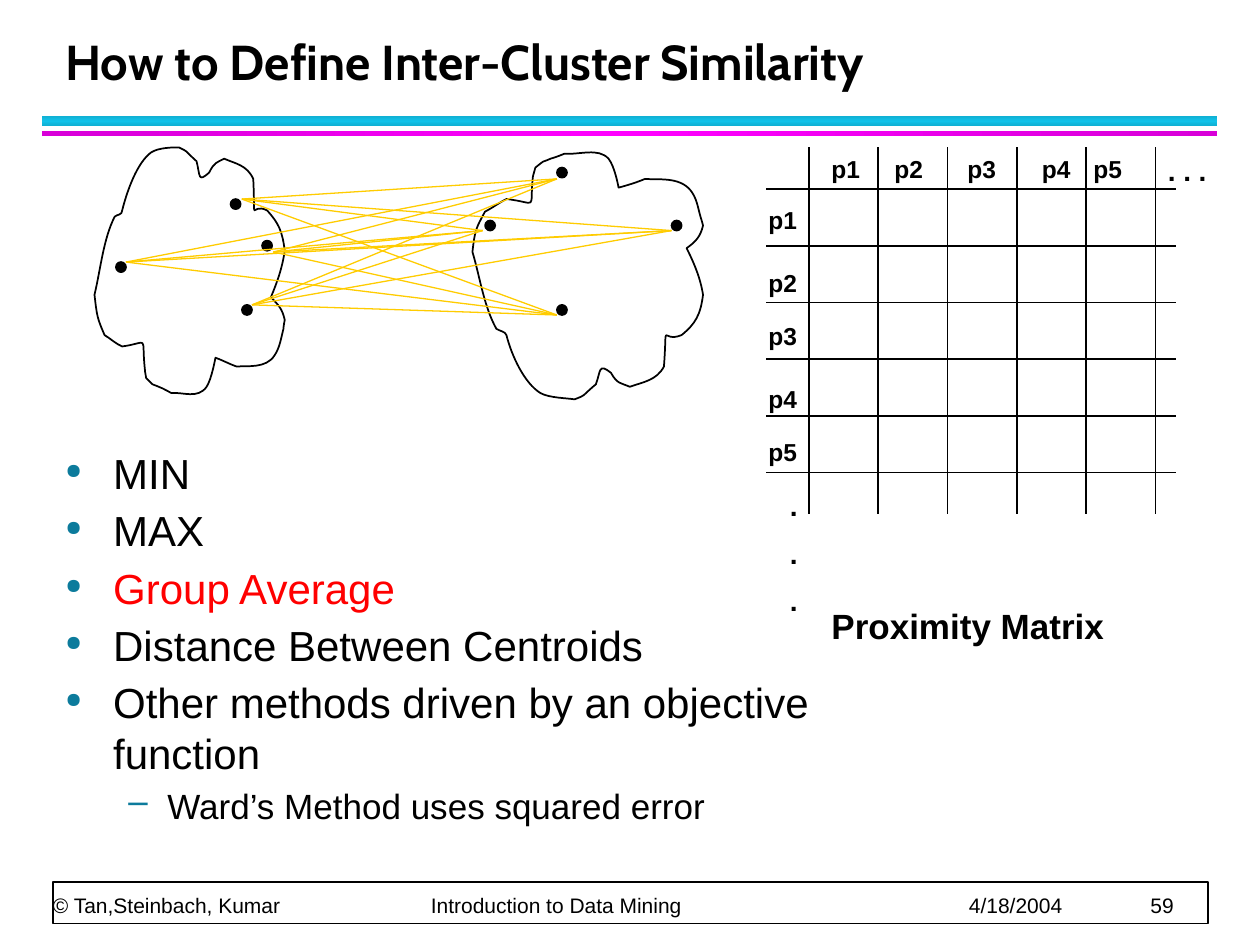
from copy import deepcopy
from dataclasses import dataclass
from itertools import product

from pptx import Presentation
from pptx.dml.color import RGBColor
from pptx.enum import shapes, text
from pptx.oxml.ns import qn
from pptx.util import Inches, Pt

BLACK = RGBColor(0x00, 0x00, 0x00)
WHITE = RGBColor(0xFF, 0xFF, 0xFF)
RED = RGBColor(0xFF, 0x00, 0x00)
GOLD = RGBColor(0xFF, 0xCC, 0x00)
CYAN, CYAN_EDGE = RGBColor(0x12, 0xC2, 0xE9), RGBColor(0x10, 0xAF, 0xD2)
MAGENTA, MAGENTA_EDGE = RGBColor(0xFF, 0x00, 0xFF), RGBColor(0xD8, 0x00, 0xD8)
BULLET_TEAL = RGBColor(0x0C, 0x7B, 0x9C)

Point = tuple[float, float]


@dataclass
class Cluster:
    """A closed outline, the dots' corners, and the points where links attach.

    The outline is in hundredths of an inch; each row of curves holds two
    control points and an end point.
    """
    start: Point
    curves: list[tuple[int, ...]]
    dots: list[Point]
    anchors: list[Point]


@dataclass
class Bullet:
    words: str
    color: RGBColor = BLACK
    level: int = 0


LEFT_CLUSTER = Cluster(
    (91, 172),
    [(82, 190, 80, 213, 75, 234), (77, 251, 77, 252, 83, 266),
     (88, 269, 92, 273, 97, 275), (119, 272, 112, 265, 115, 293),
     (115, 296, 116, 298, 116, 300), (123, 307, 119, 304, 126, 307),
     (129, 308, 136, 312, 136, 312), (145, 311, 157, 317, 164, 307),
     (168, 301, 171, 284, 171, 284), (177, 286, 182, 289, 188, 291),
     (196, 290, 211, 293, 218, 282), (222, 276, 223, 269, 225, 261),
     (225, 259, 226, 254, 226, 254), (224, 245, 221, 242, 215, 236),
     (220, 224, 224, 213, 226, 199), (224, 183, 221, 177, 212, 167),
     (198, 160, 203, 182, 201, 142), (196, 131, 187, 130, 178, 126),
     (172, 129, 170, 129, 166, 137), (157, 145, 159, 140, 156, 128),
     (145, 118, 150, 121, 142, 117), (138, 117, 126, 117, 120, 121),
     (109, 129, 101, 151, 97, 167), (97, 171, 93, 170, 91, 172)],
    dots=[(1.92, 2.42), (1.83, 1.58), (0.92, 2.08), (2.08, 1.91)],
    anchors=[(2, 2.42), (2.17, 2), (1, 2.08), (1.92, 1.58)])

RIGHT_CLUSTER = Cluster(
    (394, 261),
    [(384, 243, 381, 220, 375, 200), (377, 182, 378, 181, 385, 168),
     (391, 165, 396, 161, 402, 158), (428, 161, 420, 168, 423, 140),
     (424, 138, 424, 135, 425, 133), (434, 126, 428, 130, 437, 126),
     (441, 125, 448, 122, 448, 122), (460, 123, 475, 117, 483, 126),
     (488, 132, 491, 149, 491, 149), (498, 147, 505, 145, 512, 142),
     (522, 143, 539, 140, 548, 151), (553, 157, 554, 165, 556, 172),
     (557, 175, 558, 179, 558, 179), (556, 188, 552, 192, 545, 197),
     (551, 209, 556, 221, 558, 234), (556, 250, 552, 257, 541, 266),
     (524, 273, 530, 251, 527, 291), (521, 302, 511, 303, 500, 307),
     (493, 304, 490, 305, 485, 296), (475, 288, 477, 294, 473, 305),
     (460, 316, 466, 313, 456, 317), (451, 316, 436, 316, 429, 312),
     (416, 304, 406, 282, 402, 266), (401, 263, 397, 263, 394, 261)],
    dots=[(5.33, 1.75), (3.85, 1.75), (4.42, 2.42), (4.42, 1.33)],
    anchors=[(4.42, 2.5), (3.83, 1.83), (4.42, 1.42), (5.33, 1.83)])

METHODS = [
    Bullet("MIN"), Bullet("MAX"), Bullet("Group Average", RED),
    Bullet("Distance Between Centroids"),
    Bullet("Other methods driven by an objective function"),
    Bullet("Ward’s Method uses squared error", level=1),
]
COLUMN_LEFTS = [6.5, 7, 7.58, 8.17, 8.58]
ROW_TOPS = [1.58, 2.08, 2.5, 3, 3.42]


def add_line(slide, start: Point, end: Point, color: RGBColor = BLACK, width: float = 1):
    line = slide.shapes.add_connector(
        shapes.MSO_CONNECTOR.STRAIGHT, *(Inches(v) for v in (*start, *end)))
    line.line.color.rgb = color
    line.line.width = Pt(width)
    properties = line._element.spPr
    properties.append(properties.makeelement(qn("a:effectLst"), {}))


def add_box(slide, kind, left: float, top: float, width: float, height: float):
    box = slide.shapes.add_shape(kind, *(Inches(v) for v in (left, top, width, height)))
    box.shadow.inherit = False
    box.line.color.rgb = BLACK
    box.line.width = Pt(1)
    box.fill.solid()
    return box


def add_bar(slide, top: float, height: float, edge: RGBColor, middle: RGBColor, angle: int):
    """Draw a header bar whose colour runs edge, middle, edge."""
    bar = add_box(slide, shapes.MSO_SHAPE.RECTANGLE, 0.33, top, 9.33, height)
    bar.line.fill.background()
    bar.fill.gradient()
    bar.fill.gradient_angle = angle
    stop_list = bar._element.spPr.find(".//" + qn("a:gsLst"))
    stop_list.append(deepcopy(stop_list[0]))
    for stop, color, position in zip(bar.fill.gradient_stops, (edge, middle, edge), (0, 0.5, 1)):
        stop.color.rgb = color
        stop.position = position


def add_text(slide, left: float, top: float, width: float, height: float,
             lines: list[str], size: float, bold: bool = True, font: str = "Arial"):
    frame = slide.shapes.add_textbox(
        *(Inches(v) for v in (left, top, width, height))).text_frame
    frame.word_wrap = True
    frame.text = "\n".join(lines)
    for paragraph in frame.paragraphs:
        paragraph.font.name = font
        paragraph.font.size = Pt(size)
        paragraph.font.bold = bold
        paragraph.font.color.rgb = BLACK
    return frame


def add_cluster(slide, cluster: Cluster):
    builder = slide.shapes.build_freeform(*cluster.start, scale=Inches(0.01))
    builder.add_line_segments(
        [curve[i:i + 2] for curve in cluster.curves for i in (0, 2, 4)], close=True)
    outline = builder.convert_to_shape()
    outline.shadow.inherit = False
    outline.fill.background()
    outline.line.color.rgb = BLACK
    outline.line.width = Pt(1)
    # Every three straight segments become one Bézier segment.
    steps = list(outline._element.iter(qn("a:lnTo")))
    for first, second, third in zip(steps[::3], steps[1::3], steps[2::3]):
        bezier = first.makeelement(qn("a:cubicBezTo"), {})
        first.addprevious(bezier)
        for step in (first, second, third):
            bezier.append(step[0])
            step.getparent().remove(step)
    for left, top in cluster.dots:
        dot = add_box(slide, shapes.MSO_SHAPE.OVAL, left, top, 0.08, 0.08)
        dot.fill.fore_color.rgb = BLACK


def add_header_and_footer(slide):
    add_bar(slide, 0.92, 0.08, CYAN_EDGE, CYAN, 90)
    add_bar(slide, 1.04, 0.04, MAGENTA_EDGE, MAGENTA, 180)
    title = add_text(slide, 0.42, 0.17, 9.06, 0.6,
                     ["How to Define Inter-Cluster Similarity"], 28, font="Cabin")
    title.vertical_anchor = text.MSO_ANCHOR.BOTTOM

    border = add_box(slide, shapes.MSO_SHAPE.RECTANGLE, 0.42, 7, 9.17, 0.33)
    border.fill.fore_color.rgb = WHITE
    footer = add_text(
        slide, 0.42, 7, 9.15, 0.28,
        ["© Tan,Steinbach, Kumar\tIntroduction to Data Mining\t4/18/2004\t59"], 12, bold=False)
    footer.vertical_anchor = text.MSO_ANCHOR.BOTTOM
    footer.margin_left = footer.margin_right = footer.margin_top = footer.margin_bottom = 0
    properties = footer.paragraphs[0]._p.get_or_add_pPr()
    tabs = properties.makeelement(qn("a:tabLst"), {})
    for position in (3, 7.27, 8.71):
        tabs.append(tabs.makeelement(qn("a:tab"), {"pos": str(Inches(position)), "algn": "l"}))
    properties.find(qn("a:defRPr")).addprevious(tabs)


def add_proximity_matrix(slide):
    for i in range(6):
        x, y = 6.42 + 0.55 * i, 1.5 + 0.45 * i
        add_line(slide, (x, 1.17), (x, 4.08))
        add_line(slide, (6.08, y), (9.33, y))
    for number, (left, top) in enumerate(zip(COLUMN_LEFTS, ROW_TOPS), 1):
        add_text(slide, left, 1.17, 0.58, 0.33, [f"p{number}"], 14)
        add_text(slide, 6, top, 0.58, 0.33, [f"p{number}"], 14)
    add_text(slide, 9.17, 1.17, 0.58, 0.37, [". . ."], 16).word_wrap = False
    more_rows = add_text(slide, 6.17, 3.83, 0.58, 1.17, ["."] * 3, 16)
    for paragraph in more_rows.paragraphs[1:]:
        paragraph.space_before = Pt(8)
    add_text(slide, 6.5, 4.75, 2.75, 0.43, ["Proximity Matrix"], 20)


def add_methods(slide):
    frame = add_text(slide, 0.42, 3.5, 6.33, 3.42, [m.words for m in METHODS], 24, bold=False)
    for i, (paragraph, method) in enumerate(zip(frame.paragraphs, METHODS)):
        indent, hang, symbol, size, scale = [
            (0.38, 0.38, "●", 24, 50), (0.81, 0.31, "–", 20, 100)][method.level]
        paragraph.level = method.level
        paragraph.space_before = Pt(4 if i else 0)
        paragraph.font.size = Pt(size)
        paragraph.font.color.rgb = method.color
        properties = paragraph._p.get_or_add_pPr()
        properties.set("marL", str(Inches(indent)))
        properties.set("indent", str(-Inches(hang)))
        color = properties.makeelement(qn("a:buClr"), {})
        color.append(color.makeelement(qn("a:srgbClr"), {"val": str(BULLET_TEAL)}))
        bullet_size = properties.makeelement(qn("a:buSzPct"), {"val": str(scale * 1000)})
        bullet = properties.makeelement(qn("a:buChar"), {"char": symbol})
        for part in (color, bullet_size, bullet):
            properties.find(qn("a:defRPr")).addprevious(part)


def main():
    deck = Presentation()
    deck.slide_width, deck.slide_height = Inches(10), Inches(7.5)
    slide = deck.slides.add_slide(deck.slide_layouts[6])
    add_header_and_footer(slide)
    add_proximity_matrix(slide)
    for cluster in (LEFT_CLUSTER, RIGHT_CLUSTER):
        add_cluster(slide, cluster)
    for start, end in product(LEFT_CLUSTER.anchors, RIGHT_CLUSTER.anchors):
        add_line(slide, start, end, GOLD, 0.75)
    add_methods(slide)
    deck.save("out.pptx")


if __name__ == "__main__":
    main()
